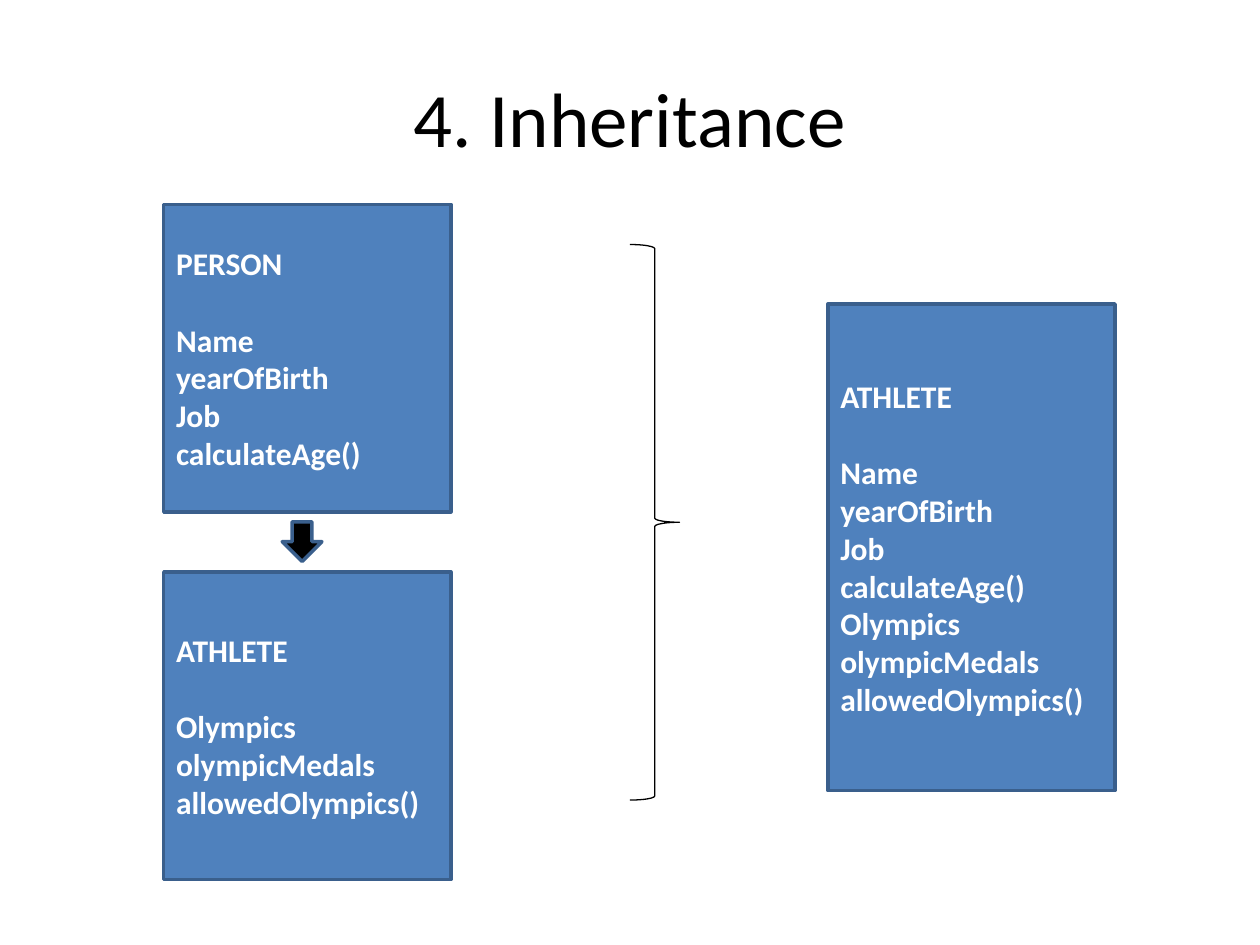
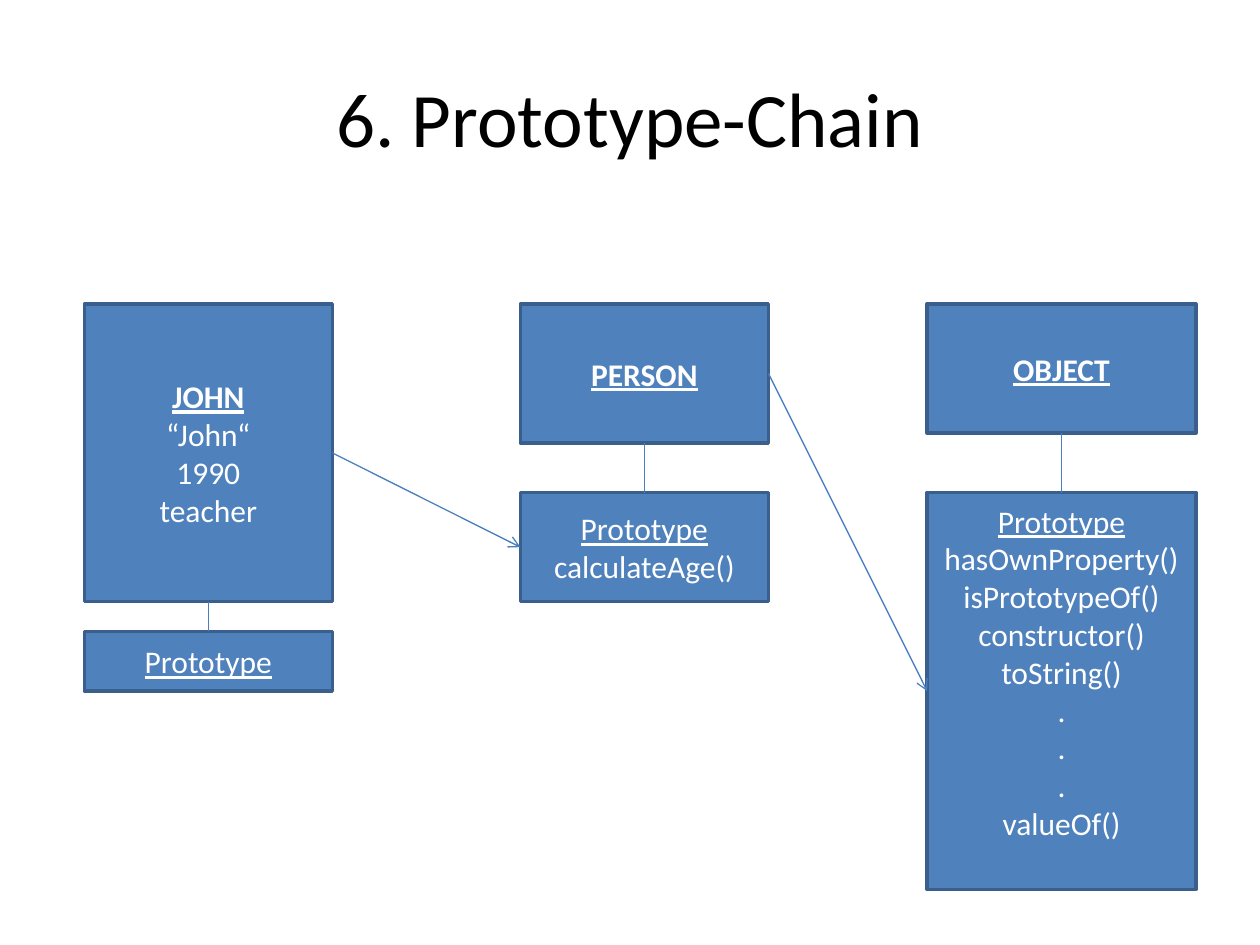
from lxml import etree
from pptx import Presentation
from pptx import util as u
from pptx.dml import color
from pptx.enum import shapes, text
from pptx.oxml import ns

COLOURS = {"box": "4F81BD", "edge": "3A5F8C", "link": "4B7EBC",
           "ink": "000000", "paper": "FFFFFF"}
FONT = "Calibri"
BODY_SIZE = 18
BLANK_LINE = 22  # points, height of one line of body text
TOP, LEFT, BOTTOM, RIGHT = range(4)  # connection sites


class Deck:
    """Holds the shared style and the slide being filled."""

    def __init__(self):
        self.prs = Presentation()
        self.prs.slide_width, self.prs.slide_height = u.Cm(25.4), u.Cm(19.05)
        self.slide = None

    def rgb(self, name):
        return color.RGBColor.from_string(COLOURS[name])

    def new_slide(self, title):
        self.slide = self.prs.slides.add_slide(self.prs.slide_layouts[6])
        heading = self.slide.shapes.add_textbox(
            u.Cm(1.27), u.Cm(0.76), u.Cm(22.86), u.Cm(3.18))
        self.add_lines(heading, [title], 44, "ink", text.PP_ALIGN.CENTER)

    def add_lines(self, shape, lines, size, ink, align, bold=False, underline=False, gap=0):
        """One paragraph per line; an underlined first line keeps the bold to itself."""
        frame = shape.text_frame
        frame.word_wrap = True
        frame.vertical_anchor = text.MSO_ANCHOR.MIDDLE
        for i, line in enumerate(lines):
            par = frame.add_paragraph() if i else frame.paragraphs[0]
            par.alignment = align
            run = par.add_run()
            run.text = line
            run.font.name, run.font.size = FONT, u.Pt(size)
            run.font.color.rgb = self.rgb(ink)
            run.font.bold = bold and (i == 0 or not underline)
            run.font.underline = underline and i == 0
        if gap:
            frame.paragraphs[0].space_after = u.Pt(gap)

    def shape(self, kind, left, top, width, height, fill, edge="edge", weight=2):
        item = self.slide.shapes.add_shape(
            kind, u.Cm(left), u.Cm(top), u.Cm(width), u.Cm(height))
        item.shadow.inherit = False
        if fill:
            item.fill.solid()
            item.fill.fore_color.rgb = self.rgb(fill)
        else:
            item.fill.background()
        item.line.color.rgb = self.rgb(edge)
        item.line.width = u.Pt(weight)
        return item

    def class_box(self, left, top, width, height, name, members):
        """Left-aligned bold class with a gap below its name."""
        box = self.shape(shapes.MSO_SHAPE.RECTANGLE, left, top, width, height, "box")
        self.add_lines(box, [name] + members, BODY_SIZE, "paper", text.PP_ALIGN.LEFT,
                       bold=True, gap=BLANK_LINE)

    def chain_box(self, left, top, width, height, lines, bold=False):
        """Centred box whose first line is underlined."""
        box = self.shape(shapes.MSO_SHAPE.RECTANGLE, left, top, width, height, "box")
        self.add_lines(box, lines, BODY_SIZE, "paper", text.PP_ALIGN.CENTER,
                       bold=bold, underline=True)
        return box

    def link(self, start, start_side, end, end_side, arrow=False):
        line = self.slide.shapes.add_connector(shapes.MSO_CONNECTOR.STRAIGHT, 0, 0, 0, 0)
        line.begin_connect(start, start_side)
        line.end_connect(end, end_side)
        line.line.color.rgb = self.rgb("link")
        line.line.width = u.Pt(0.75)
        props = line.element.spPr
        if arrow:
            etree.SubElement(props.find(ns.qn("a:ln")), ns.qn("a:tailEnd"), type="arrow")
        etree.SubElement(props, ns.qn("a:effectLst"))


def inheritance(deck):
    deck.new_slide("4. Inheritance")
    person = ["Name", "yearOfBirth", "Job", "calculateAge()"]
    athlete = ["Olympics", "olympicMedals", "allowedOlympics()"]
    width, height = 5.79, 6.2

    # Parent and child class
    deck.class_box(3.3, 4.12, width, height, "PERSON", person)
    deck.class_box(3.3, 11.53, width, height, "ATHLETE", athlete)
    deck.shape(shapes.MSO_SHAPE.DOWN_ARROW, 5.69, 10.52, 0.8, 0.8, "ink")

    # Combined result
    deck.class_box(16.69, 6.13, width, 9.81, "ATHLETE", person + athlete)
    deck.shape(shapes.MSO_SHAPE.RIGHT_BRACE, 12.7, 4.93, 1, 11.2, None, "ink", 0.75)


def prototype_chain(deck):
    deck.new_slide("6. Prototype-Chain")
    top = 6.13
    object_methods = ["hasOwnProperty()", "isPrototypeOf()", "constructor()",
                      "toString()", ".", ".", ".", "valueOf()"]
    # left, width, owner height, owner lines, prototype top, its height, its methods
    columns = [
        (1.7, 5, 6, ["JOHN", "“John“", "1990", "teacher"], 12.73, 1.2, []),
        (10.49, 5, 2.8, ["PERSON"], 9.93, 2.2, ["calculateAge()"]),
        (18.69, 5.42, 2.6, ["OBJECT"], 9.93, 8, object_methods),
    ]

    # Each object above its prototype
    owners, prototypes = [], []
    for left, width, height, lines, proto_top, proto_height, methods in columns:
        owner = deck.chain_box(left, top, width, height, lines, bold=True)
        prototype = deck.chain_box(left, proto_top, width, proto_height,
                                   ["Prototype"] + methods)
        deck.link(owner, BOTTOM, prototype, TOP)
        owners.append(owner)
        prototypes.append(prototype)
    # Room for one more line under the last method
    prototypes[-1].text_frame.margin_bottom = u.Cm(0.13) + u.Pt(BLANK_LINE)

    # Each object points to the next prototype
    for owner, prototype in zip(owners, prototypes[1:]):
        deck.link(owner, RIGHT, prototype, LEFT, arrow=True)


def main():
    deck = Deck()
    inheritance(deck)
    prototype_chain(deck)
    deck.prs.save("out.pptx")


if __name__ == "__main__":
    main()
